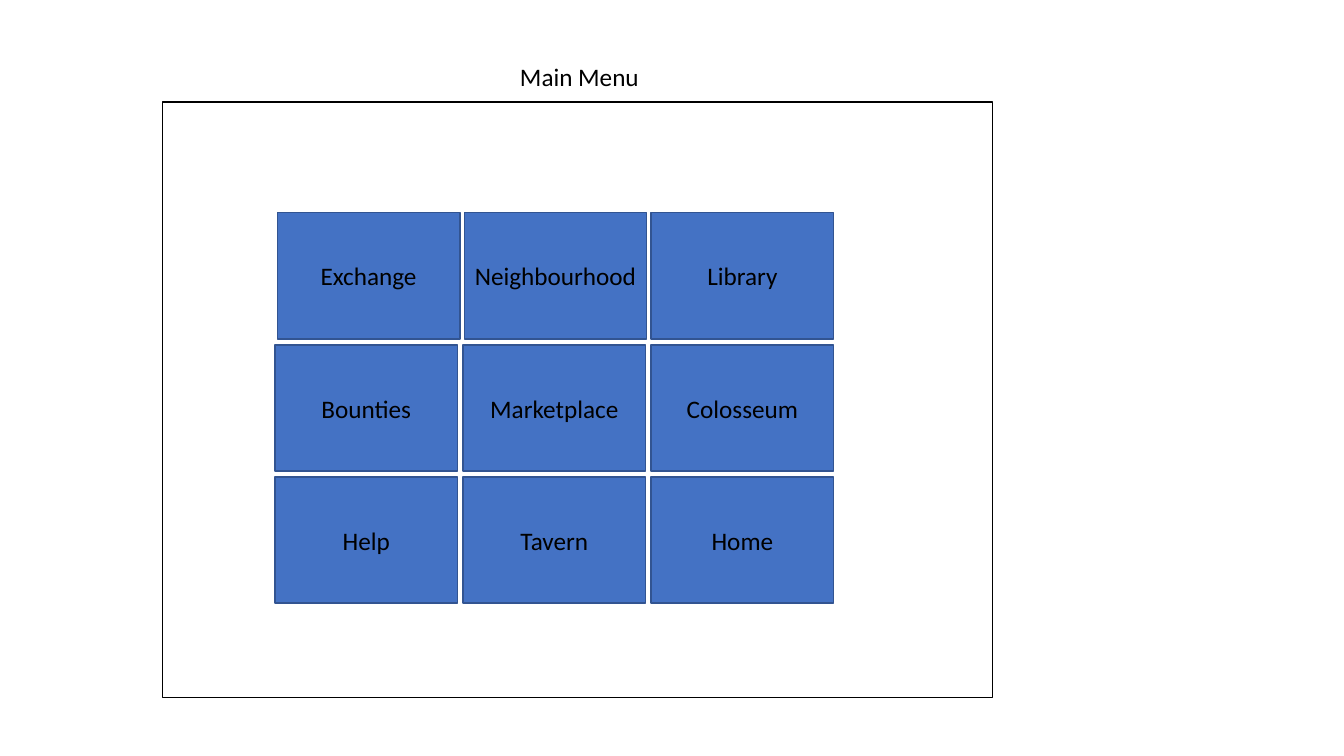
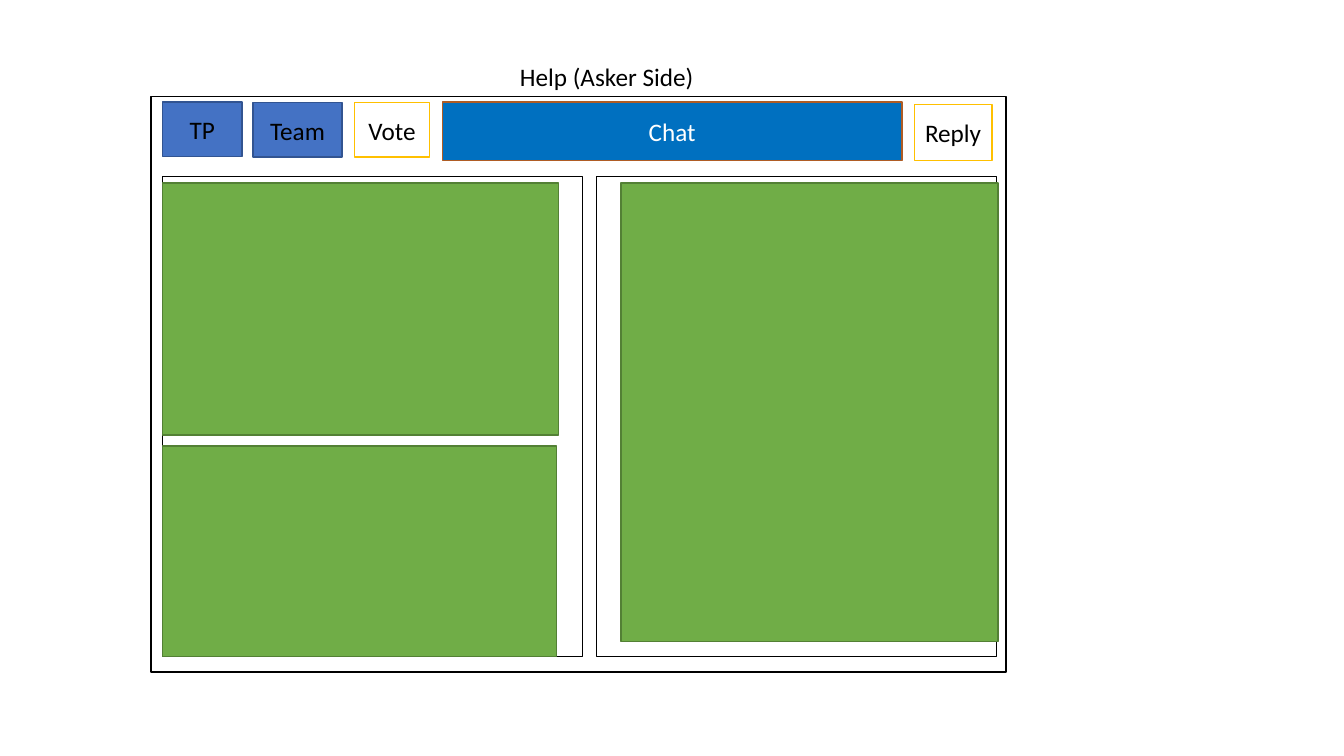
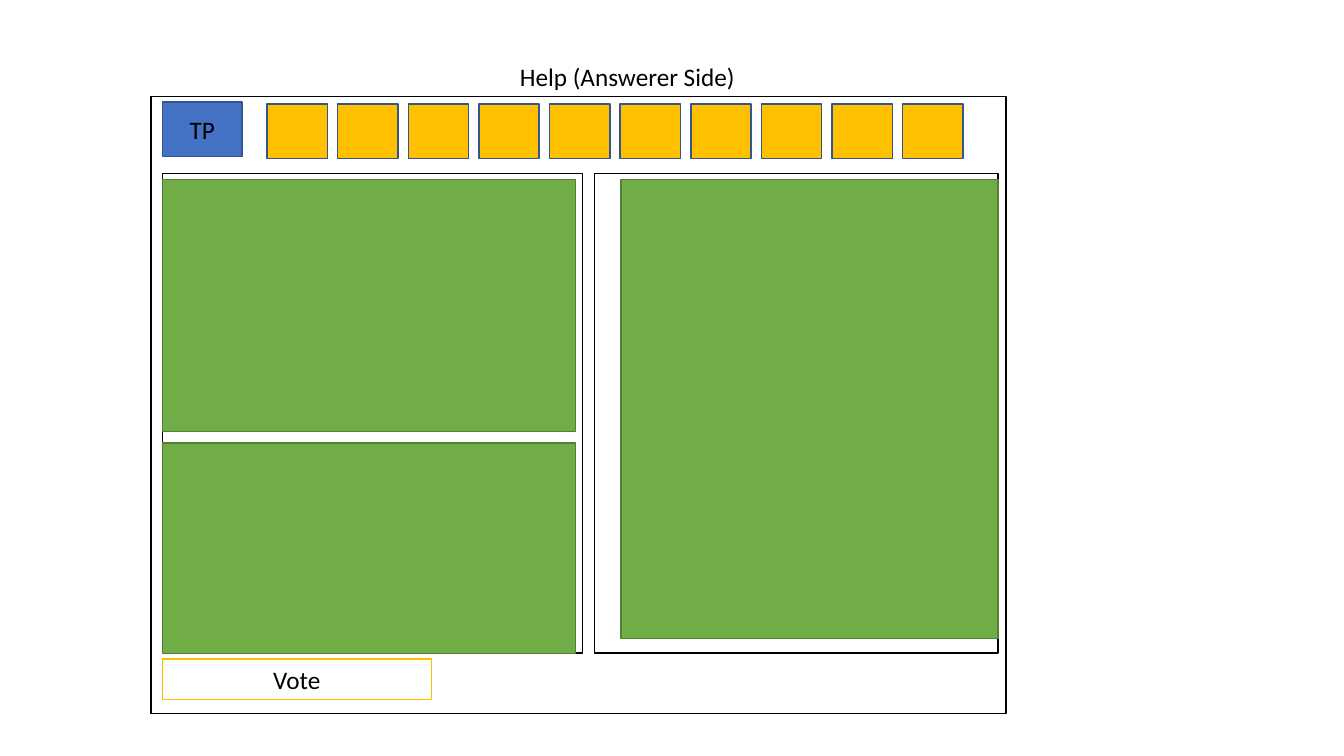
from pptx import Presentation
from pptx.dml.color import RGBColor
from pptx.enum.shapes import MSO_SHAPE
from pptx.enum.text import MSO_ANCHOR, MSO_AUTO_SIZE, PP_ALIGN
from pptx.util import Cm, Pt

BLACK = RGBColor(0x00, 0x00, 0x00)
WHITE = RGBColor(0xFF, 0xFF, 0xFF)
BLUE = RGBColor(0x44, 0x72, 0xC4)
NAVY = RGBColor(0x32, 0x54, 0x91)
GREEN = RGBColor(0x70, 0xAD, 0x47)
DARK_GREEN = RGBColor(0x53, 0x80, 0x35)
GOLD = RGBColor(0xFF, 0xC0, 0x00)
CHAT_BLUE = RGBColor(0x00, 0x70, 0xC0)
BROWN = RGBColor(0xAF, 0x5C, 0x24)

# Each style is (fill, line, text colour).
FRAME = (WHITE, BLACK, BLACK)
BUTTON = (BLUE, NAVY, BLACK)
CONTENT = (GREEN, DARK_GREEN, BLACK)
ACTION = (WHITE, GOLD, BLACK)
CHAT = (CHAT_BLUE, BROWN, WHITE)
TILE = (GOLD, NAVY, BLACK)

TITLE_ONLY = 5
MARGIN = 4.09  # left edge shared by the elements inside a screen


class Wireframe:
    """Draws screen sketches in one shared style; lengths are in cm."""

    font = {"name": "Calibri", "size": Pt(18), "bold": False}

    def __init__(self):
        """Start a widescreen presentation."""
        self.presentation = Presentation()
        self.presentation.slide_width = Cm(33.87)
        self.presentation.slide_height = Cm(19.05)
        self.slide = None

    def label(self, shape, text, color, alignment, frame_format):
        """Put one formatted paragraph into a shape."""
        text_frame = shape.text_frame
        for name, value in frame_format.items():
            setattr(text_frame, name, value)
        paragraph = text_frame.paragraphs[0]
        paragraph.alignment = alignment
        run = paragraph.add_run()
        run.text = text
        for name, value in self.font.items():
            setattr(run.font, name, value)
        run.font.color.rgb = color

    def add_slide(self, title, title_width):
        """Add a slide with its title above the screen."""
        layout = self.presentation.slide_layouts[TITLE_ONLY]
        self.slide = self.presentation.slides.add_slide(layout)
        shape = self.slide.shapes.title
        place = {"left": 12.85, "top": 1.42, "width": title_width, "height": 1.03}
        for name, value in place.items():
            setattr(shape, name, Cm(value))
        self.label(shape, title, BLACK, PP_ALIGN.LEFT, {
            "word_wrap": False,
            "auto_size": MSO_AUTO_SIZE.SHAPE_TO_FIT_TEXT,
            "vertical_anchor": MSO_ANCHOR.TOP,
        })

    def box(self, style, left, top, width, height, text=""):
        """Add a rectangle with an optional centred label."""
        fill, line, color = style
        shape = self.slide.shapes.add_shape(
            MSO_SHAPE.RECTANGLE, Cm(left), Cm(top), Cm(width), Cm(height))
        shape.shadow.inherit = False
        shape.fill.solid()
        shape.fill.fore_color.rgb = fill
        shape.line.color.rgb = line
        shape.line.width = Pt(1)
        if text:
            self.label(shape, text, color, PP_ALIGN.CENTER, {
                "word_wrap": True, "vertical_anchor": MSO_ANCHOR.MIDDLE})

    def help_screen(self, height):
        """Add the outer frame and TP button of a help screen."""
        self.box(FRAME, 3.81, 2.44, 21.54, height)
        self.box(BUTTON, MARGIN, 2.57, 2.01, 1.37, "TP")

    def help_panels(self, top, right_panel, upper_width, lower_width):
        """Add the two panels and the three content areas in them."""
        left, width = right_panel
        self.box(FRAME, left, top, width, 12.09)
        self.box(FRAME, MARGIN, top, 10.59, 12.09)
        self.box(CONTENT, MARGIN, top + 0.16, upper_width, 6.35)
        self.box(CONTENT, MARGIN, top + 6.79, lower_width, 5.31)
        self.box(CONTENT, 15.65, top + 0.16, 9.5, 11.56)


def main_menu(wireframe):
    """Build the menu with its grid of destinations."""
    wireframe.add_slide("Main Menu", 3.56)
    wireframe.box(FRAME, MARGIN, 2.57, 20.93, 15.01)
    rows = [
        (4.71, ["Exchange", "Neighbourhood", "Library"]),
        (4.74, ["Bounties", "Marketplace", "Colosseum"]),
        (4.74, ["Help", "Tavern", "Home"]),
    ]
    for row, (pitch, names) in enumerate(rows):
        for column, name in enumerate(names):
            left = 16.41 - (2 - column) * pitch
            wireframe.box(BUTTON, left, 5.36 + row * 3.33, 4.6, 3.18, name)


def asker_side(wireframe):
    """Build the help screen of the person asking."""
    wireframe.add_slide("Help (Asker Side)", 4.93)
    wireframe.help_screen(14.5)
    wireframe.help_panels(4.45, (15.04, 10.08), 9.98, 9.93)
    toolbar = [
        (ACTION, 8.94, 2.59, 1.88, 1.37, "Vote"),
        (BUTTON, 6.38, 2.59, 2.24, 1.37, "Team"),
        (CHAT, 11.15, 2.57, 11.58, 1.47, "Chat"),
        (ACTION, 23.04, 2.64, 1.96, 1.4, "Reply"),
    ]
    for item in toolbar:
        wireframe.box(*item)


def answerer_side(wireframe):
    """Build the help screen of the person answering."""
    wireframe.add_slide("Help (Answerer Side)", 5.99)
    wireframe.help_screen(15.54)
    wireframe.help_panels(4.37, (14.99, 10.16), 10.41, 10.41)
    wireframe.box(ACTION, MARGIN, 16.61, 6.78, 1.02, "Vote")
    for index in range(10):
        wireframe.box(TILE, 6.73 + index * 1.78, 2.62, 1.52, 1.37)


def main():
    """Build and save the presentation."""
    wireframe = Wireframe()
    for build in (main_menu, asker_side, answerer_side):
        build(wireframe)
    wireframe.presentation.save("out.pptx")


main()
